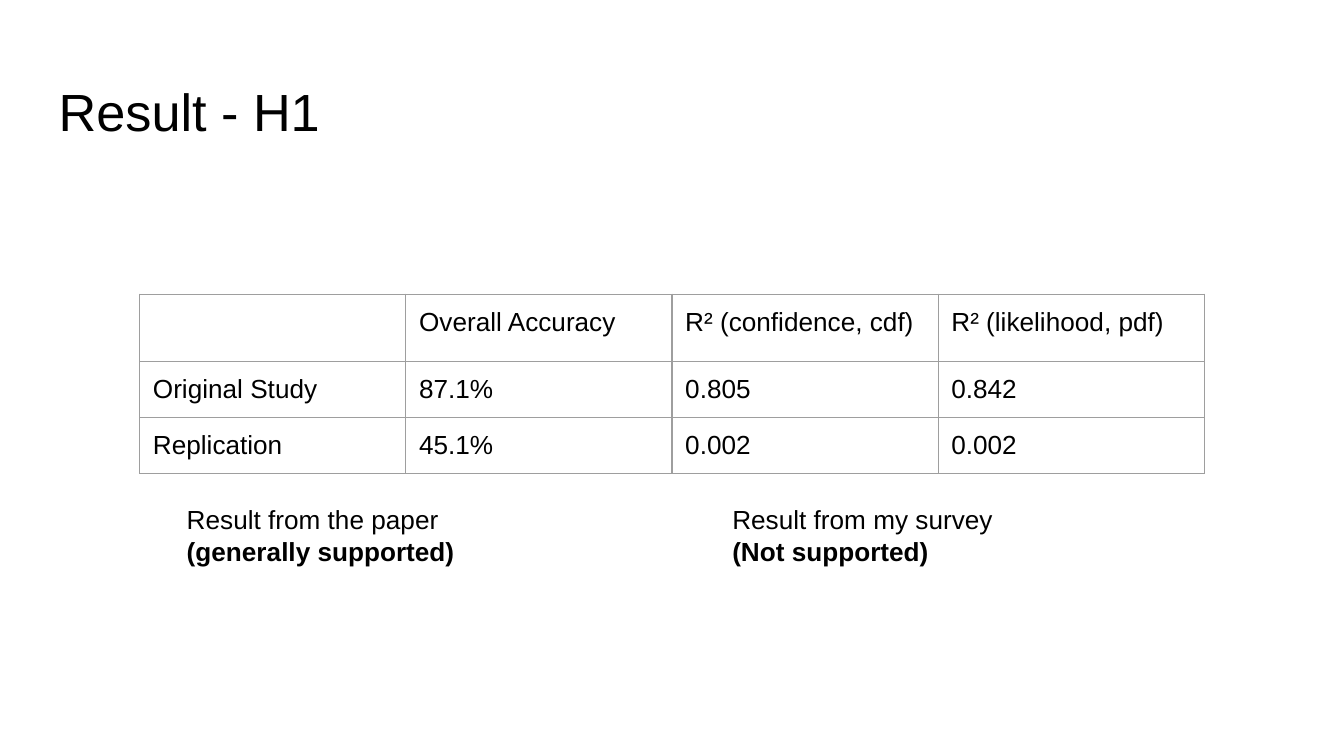
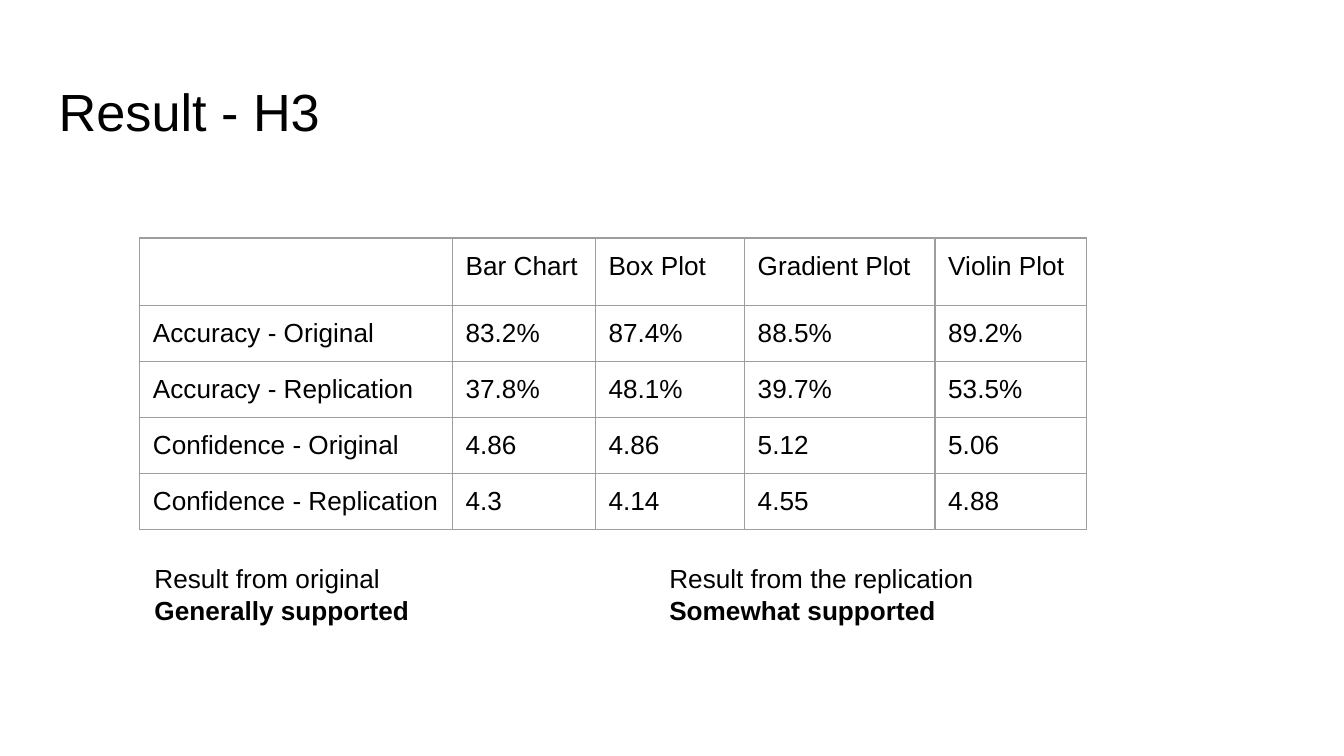
from dataclasses import dataclass

from lxml.etree import SubElement
from pptx import Presentation
from pptx.dml.color import RGBColor
from pptx.enum.text import MSO_ANCHOR as Anchor
from pptx.oxml.ns import qn
from pptx.util import Cm, Pt


@dataclass(frozen=True)
class Theme:
    font: str = "Arial"
    text: str = "000000"
    border: str = "9E9E9E"
    title_size: int = 28
    body_size: int = 14
    border_width: float = 0.75
    inset: float = 0.25
    row_height: float = 1.06
    title_box: tuple = (0.86, 1.24, 23.67, 1.6)


THEME = Theme()
TITLE_ONLY = 5


def write_text(frame, lines, size=THEME.body_size, bold_last=False):
    frame.word_wrap = True
    for index, line in enumerate(lines):
        paragraph = frame.paragraphs[0] if index == 0 else frame.add_paragraph()
        run = paragraph.add_run()
        run.text = line
        run.font.name = THEME.font
        run.font.size = Pt(size)
        run.font.bold = bold_last and index == len(lines) - 1
        run.font.color.rgb = RGBColor.from_string(THEME.text)


def set_insets(holder):
    for side in ("left", "top", "right", "bottom"):
        setattr(holder, f"margin_{side}", Cm(THEME.inset))


def add_title(slide, text, box):
    title = slide.shapes.title
    title.left, title.top, title.width, title.height = map(Cm, box)
    frame = title.text_frame
    set_insets(frame)
    frame.vertical_anchor = Anchor.TOP
    write_text(frame, [text], size=THEME.title_size)
    frame.paragraphs[0].alignment = 1


def format_cell(cell, text):
    set_insets(cell)
    properties = cell._tc.get_or_add_tcPr()
    for side in ("lnL", "lnR", "lnT", "lnB"):
        line = SubElement(properties, qn(f"a:{side}"), w=str(Pt(THEME.border_width)))
        fill = SubElement(line, qn("a:solidFill"))
        SubElement(fill, qn("a:srgbClr"), val=THEME.border)
    cell.fill.background()
    if text:
        write_text(cell.text_frame, [text])


def add_results_table(slide, rows, left, top, column_widths):
    table = slide.shapes.add_table(
        len(rows), len(column_widths), Cm(left), Cm(top),
        Cm(sum(column_widths)), Cm(THEME.row_height * len(rows)),
    ).table
    table.first_row = table.horz_banding = False
    for column, width in zip(table.columns, column_widths):
        column.width = Cm(width)
    for row_index, values in enumerate(rows):
        table.rows[row_index].height = Cm(THEME.row_height)
        for column_index, value in enumerate(values):
            format_cell(table.cell(row_index, column_index), value)


def add_conclusion(slide, lines, box):
    frame = slide.shapes.add_textbox(*map(Cm, box)).text_frame
    set_insets(frame)
    write_text(frame, lines, bold_last=True)


def add_result_slide(presentation, title, rows, table_top, column_widths, conclusions):
    slide = presentation.slides.add_slide(presentation.slide_layouts[TITLE_ONLY])
    add_title(slide, title, THEME.title_box)
    add_results_table(slide, rows, 2.64, table_top, column_widths)
    for lines, box in conclusions:
        add_conclusion(slide, lines, box)


def main():
    presentation = Presentation()
    presentation.slide_width, presentation.slide_height = Cm(25.4), Cm(14.29)
    add_result_slide(
        presentation,
        "Result - H1",
        [
            ["", "Overall Accuracy", "R² (confidence, cdf)", "R² (likelihood, pdf)"],
            ["Original Study", "87.1%", "0.805", "0.842"],
            ["Replication", "45.1%", "0.002", "0.002"],
        ],
        table_top=5.56,
        column_widths=[5.03] * 4,
        conclusions=[
            (["Result from the paper", "(generally supported)"], (3.28, 9.27, 7.92, 4.06)),
            (["Result from my survey", "(Not supported)"], (13.59, 9.27, 6.4, 3.73)),
        ],
    )
    add_result_slide(
        presentation,
        "Result - H3",
        [
            ["", "Bar Chart", "Box Plot", "Gradient Plot", "Violin Plot"],
            ["Accuracy - Original", "83.2%", "87.4%", "88.5%", "89.2%"],
            ["Accuracy - Replication", "37.8%", "48.1%", "39.7%", "53.5%"],
            ["Confidence - Original", "4.86", "4.86", "5.12", "5.06"],
            ["Confidence - Replication", "4.3", "4.14", "4.55", "4.88"],
        ],
        table_top=4.5,
        column_widths=[5.91, 2.7, 2.82, 3.6, 2.86],
        conclusions=[
            (["Result from the replication", "Somewhat supported"], (12.4, 10.39, 6.53, 2.34)),
            (["Result from original", "Generally supported"], (2.67, 10.39, 6.1, 1.88)),
        ],
    )
    presentation.save("out.pptx")


if __name__ == "__main__":
    main()
